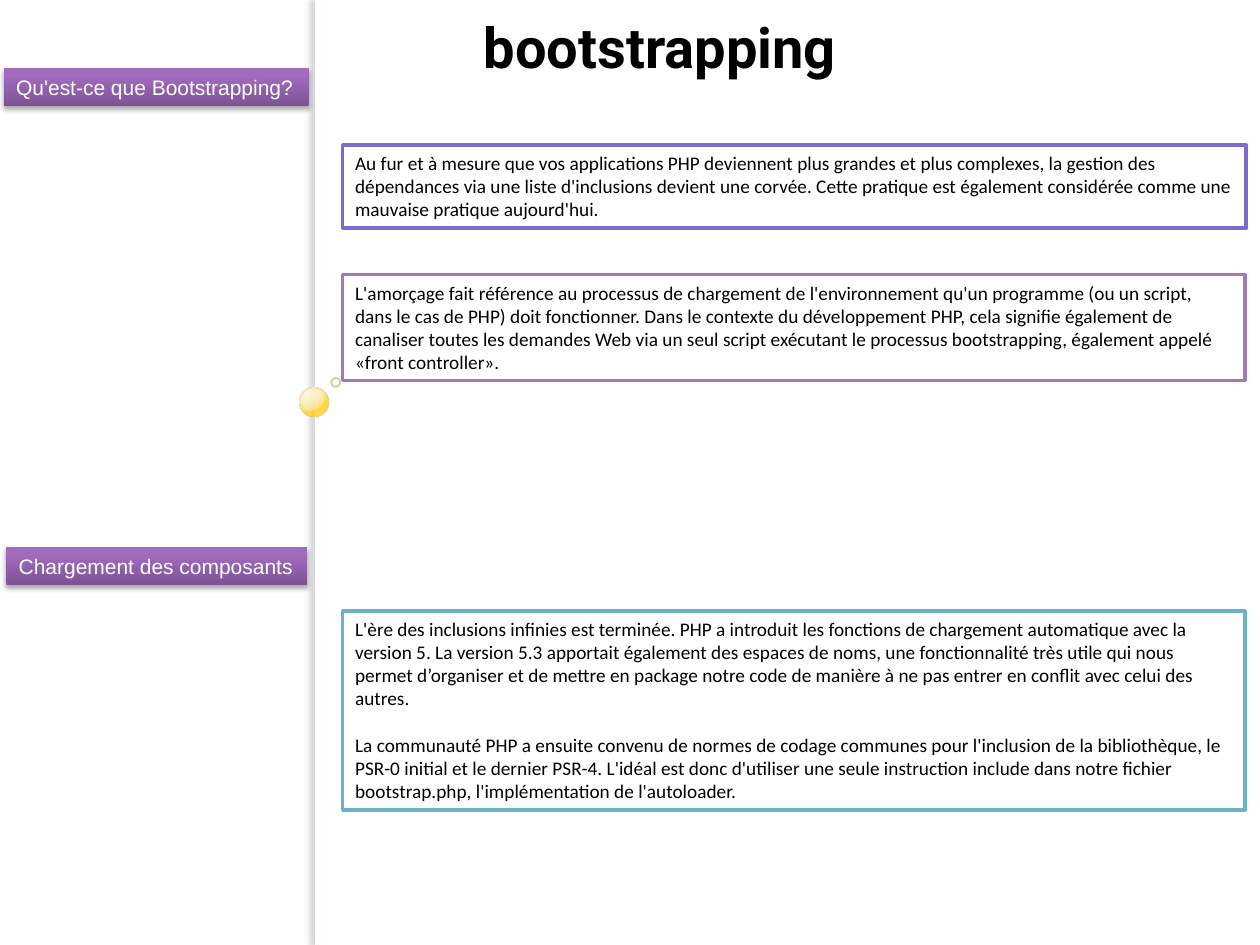
from lxml.etree import SubElement
from pptx import Presentation
from pptx.dml.color import RGBColor
from pptx.enum.shapes import MSO_SHAPE
from pptx.enum.text import MSO_ANCHOR, MSO_AUTO_SIZE, PP_ALIGN
from pptx.oxml import parse_xml
from pptx.oxml.ns import nsdecls, qn
from pptx.util import Inches, Pt


def color(value):
    return RGBColor.from_string(value)


def add_shape(kind, box, fill=None, line=None, width=0, gradient=None, direction="", shadow=None):
    shape = slide.shapes.add_shape(kind, *[Inches(length) for length in box])
    shape.shadow.inherit = False
    properties = shape.element.spPr
    if fill:
        shape.fill.solid()
        shape.fill.fore_color.rgb = color(fill)
    elif gradient:
        stops = "".join(
            f'<a:gs pos="{position * 1000}"><a:srgbClr val="{value}">'
            f'<a:alpha val="{alpha * 1000}"/></a:srgbClr></a:gs>'
            for position, value, alpha in gradient
        )
        properties.find(qn("a:prstGeom")).addnext(parse_xml(
            f'<a:gradFill {nsdecls("a")} rotWithShape="1"><a:gsLst>{stops}</a:gsLst>{direction}</a:gradFill>'
        ))
    else:
        shape.fill.background()
    if line:
        shape.line.color.rgb = color(line)
        shape.line.width = Pt(width)
    else:
        shape.line.fill.background()
    if shadow:
        value, alpha, blur, distance, angle = shadow
        properties.find(qn("a:effectLst")).append(parse_xml(
            f'<a:outerShdw {nsdecls("a")} blurRad="{Pt(blur)}" dist="{Pt(distance)}" '
            f'dir="{angle * 60000}" algn="ctr" rotWithShape="0"><a:srgbClr val="{value}">'
            f'<a:alpha val="{alpha * 1000}"/></a:srgbClr></a:outerShdw>'
        ))
    return shape


presentation = Presentation()
presentation.slide_width = Inches(10)
presentation.slide_height = Inches(7.5)
slide = presentation.slides.add_slide(presentation.slide_layouts[6])

add_shape(MSO_SHAPE.RECTANGLE, (2.5, 0, 0.08, 7.5), fill="FFFFFF", shadow=("646068", 25, 3, 3, 180))

ball = add_shape(
    MSO_SHAPE.OVAL, (2.38, 3.08, 0.23, 0.23), line="CAB45C", width=0.16,
    gradient=[(0, "FFF7E2", 95), (50, "FFF0C5", 90), (95, "FFE07C", 88), (100, "FFD327", 85)],
    direction='<a:path path="circle"><a:fillToRect l="25000" t="12000" r="75000" b="88000"/></a:path>',
)
ring = add_shape(MSO_SHAPE.OVAL, (2.63, 3, 0.07, 0.07), line="B6A35A", width=1)
for circle in (ball, ring):
    line_color = circle.element.spPr.find(qn("a:ln")).find(".//" + qn("a:srgbClr"))
    SubElement(line_color, qn("a:alpha")).set("val", "60000")

title = slide.shapes.add_textbox(Inches(3.74), Inches(0.05), Inches(3.69), Inches(0.64))
title.text_frame.text = "bootstrapping"
texts = [(title, "Roboto", 32, "000000")]

paragraph_boxes = [
    (1.15, 7.17, 0.66, "7E6BC9", [
        "Au fur et à mesure que vos applications PHP deviennent plus grandes et plus complexes, la gestion des "
        "dépendances via une liste d'inclusions devient une corvée. Cette pratique est également considérée "
        "comme une mauvaise pratique aujourd'hui.",
    ]),
    (2.18, 7.16, 0.84, "A379BB", [
        "L'amorçage fait référence au processus de chargement de l'environnement qu'un programme (ou un script, "
        "dans le cas de PHP) doit fonctionner. Dans le contexte du développement PHP, cela signifie également de "
        "canaliser toutes les demandes Web via un seul script exécutant le processus bootstrapping, également "
        "appelé «front controller».",
    ]),
    (4.85, 7.16, 1.58, "6BB1C9", [
        "L'ère des inclusions infinies est terminée. PHP a introduit les fonctions de chargement automatique avec "
        "la version 5. La version 5.3 apportait également des espaces de noms, une fonctionnalité très utile qui "
        "nous permet d’organiser et de mettre en package notre code de manière à ne pas entrer en conflit avec "
        "celui des autres.",
        "La communauté PHP a ensuite convenu de normes de codage communes pour l'inclusion de la bibliothèque, le "
        "PSR-0 initial et le dernier PSR-4. L'idéal est donc d'utiliser une seule instruction include dans notre "
        "fichier bootstrap.php, l'implémentation de l'autoloader.",
    ]),
]
for top, width, height, border, paragraphs in paragraph_boxes:
    shape = add_shape(MSO_SHAPE.RECTANGLE, (2.72, top, width, height), fill="FFFFFF", line=border, width=2)
    shape.text_frame.text = "\n".join(paragraphs)
    for paragraph in shape.text_frame.paragraphs[1:]:
        paragraph.space_before = Pt(13.2)
    texts.append((shape, "Calibri", 11, "000000"))

labels = [
    (0.03, 0.54, 2.42, "Qu'est-ce que Bootstrapping?"),
    (0.05, 4.34, 2.39, "Chargement des composants"),
]
for left, top, width, label in labels:
    shape = add_shape(
        MSO_SHAPE.RECTANGLE, (left, top, width, 0.3),
        gradient=[(0, "7C5393", 100), (80, "A16CBF", 100), (100, "A26BC1", 100)],
        direction='<a:lin ang="16200000" scaled="0"/>', shadow=("000000", 35, 3.1, 1.8, 90),
    )
    shape.text_frame.text = label
    texts.append((shape, "Arial", 12, "FFFFFF"))

for shape, font_name, size, font_color in texts:
    frame = shape.text_frame
    frame.word_wrap = shape is not title
    frame.auto_size = MSO_AUTO_SIZE.SHAPE_TO_FIT_TEXT
    frame.vertical_anchor = MSO_ANCHOR.MIDDLE if font_name == "Arial" else MSO_ANCHOR.TOP
    for paragraph in frame.paragraphs:
        paragraph.alignment = PP_ALIGN.LEFT
        for run in paragraph.runs:
            run.font.name = font_name
            run.font.size = Pt(size)
            run.font.bold = shape is title
            run.font.color.rgb = color(font_color)

presentation.save("out.pptx")
